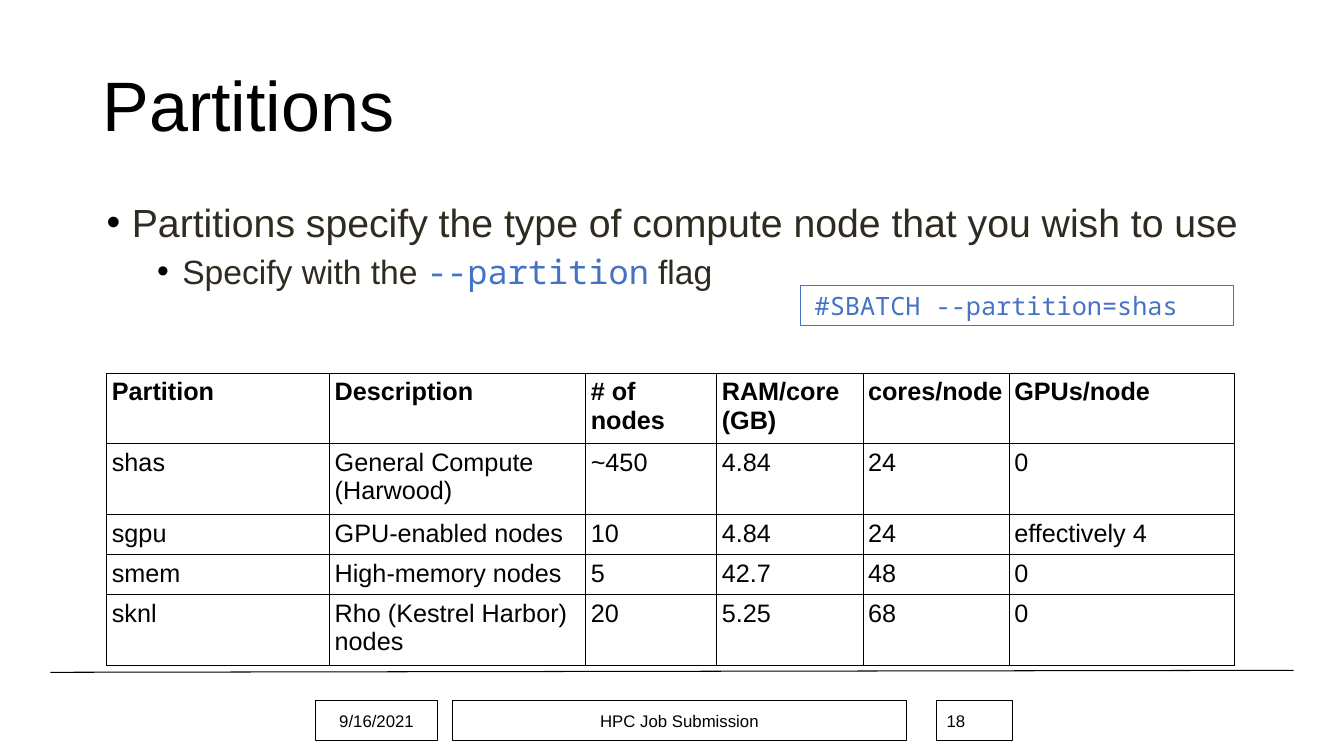
from dataclasses import dataclass

from lxml.etree import SubElement
from pptx import Presentation
from pptx.dml.color import RGBColor
from pptx.enum.shapes import MSO_CONNECTOR, MSO_SHAPE
from pptx.enum.text import MSO_ANCHOR as Anchor, PP_ALIGN as Align
from pptx.oxml.ns import qn
from pptx.util import Inches, Pt


@dataclass(frozen=True)
class Theme:
    sans: str = "Arial"
    mono: str = "Noto Sans Mono"
    ink: str = "000000"
    body: str = "2F2B20"
    accent: str = "4472C4"
    title_size: float = 50
    bullet_sizes: tuple = (28, 24)
    table_size: float = 18
    footer_size: float = 12
    line_width: float = 0.75


class SlideBuilder:
    def __init__(self, slide, theme):
        self.slide = slide
        self.theme = theme

    def style_font(self, font, size, color, name=None, bold=False):
        font.name = name or self.theme.sans
        font.size = Pt(size)
        font.bold = bold
        font.color.rgb = RGBColor.from_string(color)

    def text_box(self, left, top, width, height, anchor=Anchor.TOP):
        shape = self.slide.shapes.add_textbox(
            Inches(left), Inches(top), Inches(width), Inches(height))
        frame = shape.text_frame
        frame.word_wrap = True
        frame.vertical_anchor = anchor
        return frame

    def title(self, text, *place):
        paragraph = self.text_box(*place, anchor=Anchor.MIDDLE).paragraphs[0]
        paragraph.text = text
        paragraph.line_spacing = 0.9
        self.style_font(paragraph.font, self.theme.title_size, self.theme.ink)

    def bullets(self, items, *place):
        frame = self.text_box(*place)
        for level, pieces in enumerate(items):
            paragraph = frame.add_paragraph() if level else frame.paragraphs[0]
            paragraph.level = level
            paragraph.line_spacing = 0.9
            if level:
                paragraph.space_before = Pt(6.5)
            self.add_bullet(paragraph, 0.29 + 0.5 * level)
            size = self.theme.bullet_sizes[level]
            for text, is_code in pieces:
                run = paragraph.add_run()
                run.text = text
                color, name = ((self.theme.accent, self.theme.mono) if is_code
                               else (self.theme.body, self.theme.sans))
                self.style_font(run.font, size, color, name)

    def add_bullet(self, paragraph, margin):
        properties = paragraph._p.get_or_add_pPr()
        properties.set("marL", str(Inches(margin)))
        properties.set("indent", str(Inches(-0.25)))
        color = SubElement(properties, qn("a:buClr"))
        SubElement(color, qn("a:srgbClr"), val=self.theme.ink)
        SubElement(properties, qn("a:buFont"), typeface=self.theme.sans)
        SubElement(properties, qn("a:buChar"), char="•")

    def outlined_box(self, text, place, size, color, name=None,
                     align=Align.LEFT, anchor=Anchor.MIDDLE, margin=0.1):
        shape = self.slide.shapes.add_shape(MSO_SHAPE.RECTANGLE, *map(Inches, place))
        shape.shadow.inherit = False
        shape.fill.background()
        shape.line.color.rgb = RGBColor.from_string(color)
        shape.line.width = Pt(self.theme.line_width)
        frame = shape.text_frame
        frame.word_wrap = True
        frame.vertical_anchor = anchor
        frame.margin_left = Inches(margin)
        paragraph = frame.paragraphs[0]
        paragraph.text = text
        paragraph.alignment = align
        self.style_font(paragraph.font, size, color, name)

    def rule(self, *ends):
        line = self.slide.shapes.add_connector(MSO_CONNECTOR.STRAIGHT, *map(Inches, ends))
        line.line.color.rgb = RGBColor.from_string(self.theme.ink)
        line.line.width = Pt(self.theme.line_width)
        SubElement(line._element.spPr, qn("a:effectLst"))

    def table(self, rows, left, top, widths, heights):
        table = self.slide.shapes.add_table(
            len(rows), len(widths), Inches(left), Inches(top),
            Inches(sum(widths)), Inches(sum(heights))).table
        table.horz_banding = False
        for column, width in zip(table.columns, widths):
            column.width = Inches(width)
        for index, (row, height, texts) in enumerate(zip(table.rows, heights, rows)):
            row.height = Inches(height)
            for cell, text in zip(row.cells, texts):
                self.table_cell(cell, text, bold=index == 0)

    def table_cell(self, cell, text, bold):
        cell.margin_left = cell.margin_right = Inches(0.05)
        cell.margin_top = cell.margin_bottom = Inches(0.05)
        paragraph = cell.text_frame.paragraphs[0]
        paragraph.text = text
        self.style_font(paragraph.font, self.theme.table_size, self.theme.ink, bold=bold)
        properties = cell._tc.get_or_add_tcPr()
        for side in ("L", "R", "T", "B"):
            border = SubElement(properties, qn(f"a:ln{side}"),
                                w=str(Pt(self.theme.line_width)))
            fill = SubElement(border, qn("a:solidFill"))
            SubElement(fill, qn("a:srgbClr"), val=self.theme.ink)
        cell.fill.background()
        properties.append(properties.find(qn("a:noFill")))


PARTITIONS = [
    ("Partition", "Description", "# of nodes", "RAM/core (GB)", "cores/node", "GPUs/node"),
    ("shas", "General Compute (Harwood)", "~450", "4.84", "24", "0"),
    ("sgpu", "GPU-enabled nodes", "10", "4.84", "24", "effectively 4"),
    ("smem", "High-memory nodes", "5", "42.7", "48", "0"),
    ("sknl", "Rho (Kestrel Harbor) nodes", "20", "5.25", "68", "0"),
]
BULLETS = [
    [("Partitions specify the type of compute node that you wish to use", False)],
    [("Specify with the ", False), ("--partition", True), (" flag", False)],
]
FOOTER = [
    ("9/16/2021", 3.13, 1.21, Align.CENTER),
    ("HPC Job Submission", 4.49, 4.5, Align.CENTER),
    ("18", 9.29, 0.75, Align.LEFT),
]


def main():
    presentation = Presentation()
    presentation.slide_width = Inches(13.33)
    presentation.slide_height = Inches(7.5)
    theme = Theme()
    builder = SlideBuilder(
        presentation.slides.add_slide(presentation.slide_layouts[6]), theme)
    builder.rule(0.5, 6.67, 12.83, 6.65)
    builder.bullets(BULLETS, 0.92, 1.97, 11.83, 4.55)
    builder.table(PARTITIONS, 1.06, 3.7, (2.21, 2.54, 1.3, 1.45, 1.45, 2.23),
                  (0.65, 0.65, 0.38, 0.38, 0.65))
    builder.title("Partitions", 0.92, 0.35, 11.32, 1.45)
    for text, left, width, align in FOOTER:
        builder.outlined_box(text, (left, 6.95, width, 0.4), theme.footer_size,
                             theme.ink, align=align)
    builder.outlined_box("#SBATCH --partition=shas", (7.94, 2.83, 4.29, 0.4),
                         theme.table_size, theme.accent, theme.mono,
                         anchor=Anchor.TOP, margin=0.14)
    presentation.save("out.pptx")


if __name__ == "__main__":
    main()
